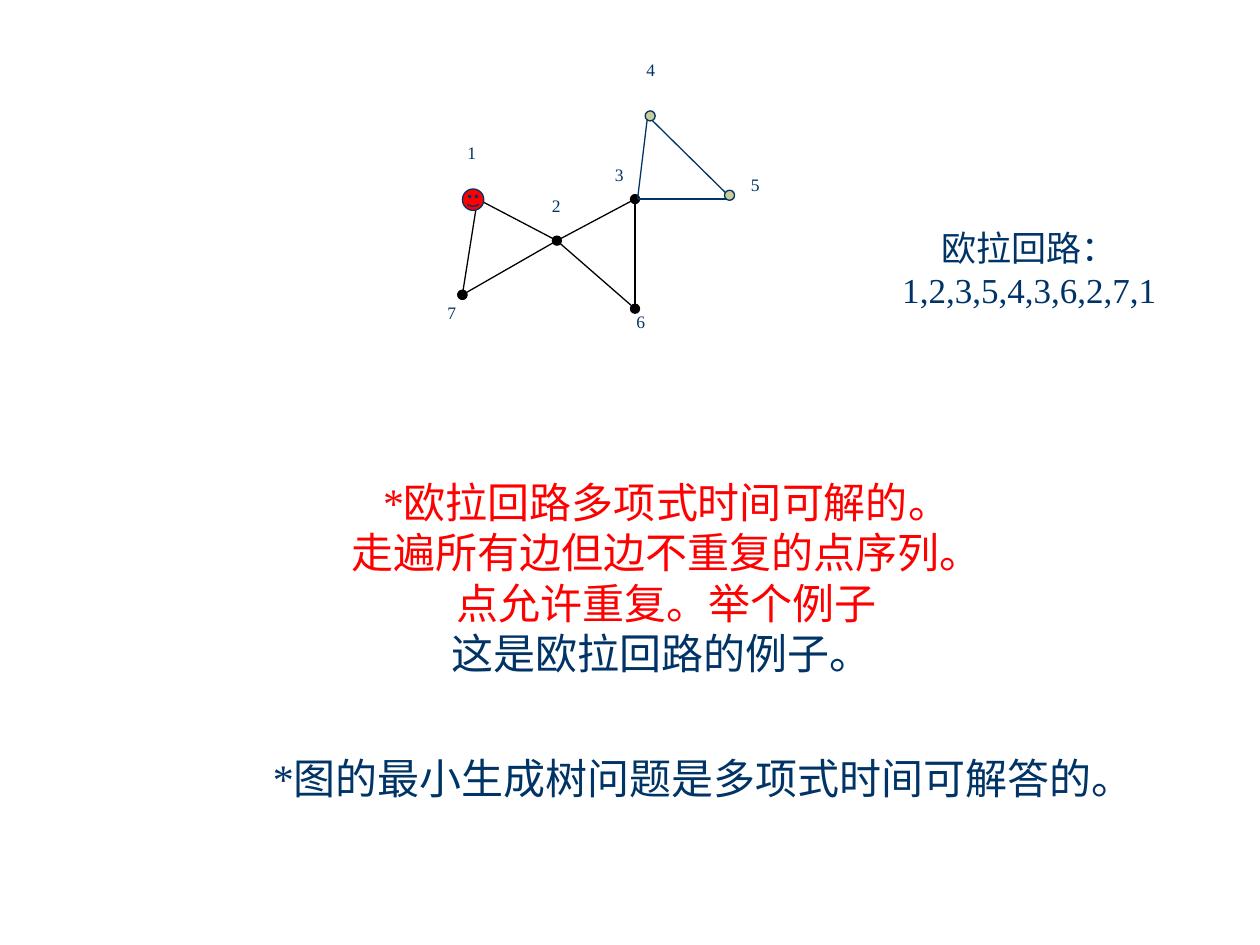
"""Builds a slide on Euler circuits with an example graph."""
import dataclasses

import lxml.etree
import pptx
import pptx.dml.color
import pptx.enum.shapes
import pptx.enum.text
import pptx.oxml.ns
import pptx.util

Inches = pptx.util.Inches
Pt = pptx.util.Pt
Shape = pptx.enum.shapes.MSO_SHAPE
qn = pptx.oxml.ns.qn


@dataclasses.dataclass(frozen=True)
class Theme:
    navy: str = "003366"
    red: str = "FF0000"
    black: str = "000000"
    sand: str = "CCCC99"
    latin: str = "Times New Roman"
    asian: str = "Noto Sans CJK SC"
    body: int = 24
    note: int = 20
    label: int = 10
    leading: float = 1.2
    line: float = 0.75


class GraphPage:
    def __init__(self, page, theme):
        self.page = page
        self.theme = theme

    def colour(self, value):
        return pptx.dml.color.RGBColor.from_string(value)

    def text(self, left, top, width, height, lines, size, wrap=True, middle=False):
        box = self.page.shapes.add_textbox(
            Inches(left), Inches(top), Inches(width), Inches(height))
        frame = box.text_frame
        frame.word_wrap = wrap
        frame.auto_size = pptx.enum.text.MSO_AUTO_SIZE.SHAPE_TO_FIT_TEXT
        if middle:
            frame.vertical_anchor = pptx.enum.text.MSO_ANCHOR.MIDDLE
        for index, (words, colour) in enumerate(lines):
            para = frame.add_paragraph() if index else frame.paragraphs[0]
            para.text = words
            para.alignment = pptx.enum.text.PP_ALIGN.CENTER
            para.line_spacing = Pt(size * self.theme.leading)
            para.font.size = Pt(size)
            para.font.name = self.theme.latin
            para.font.color.rgb = self.colour(colour)
            style = para._p.pPr.find(qn("a:defRPr"))
            lxml.etree.SubElement(style, qn("a:ea"), typeface=self.theme.asian)

    def edge(self, group, start, end, colour, dotted=False):
        line = group.shapes.add_connector(
            pptx.enum.shapes.MSO_CONNECTOR.STRAIGHT, *map(Inches, start + end))
        line.line.color.rgb = self.colour(colour)
        line.line.width = Pt(self.theme.line)
        if dotted:
            outline = line.line._get_or_add_ln()
            for tip in ("a:headEnd", "a:tailEnd"):
                lxml.etree.SubElement(outline, qn(tip), type="oval")
        lxml.etree.SubElement(line._element.spPr, qn("a:effectLst"))

    def node(self, parent, kind, left, top, size, fill):
        shape = parent.shapes.add_shape(
            kind, Inches(left), Inches(top), Inches(size), Inches(size))
        shape.shadow.inherit = False
        shape.fill.solid()
        shape.fill.fore_color.rgb = self.colour(fill)
        shape.line.color.rgb = self.colour(self.theme.navy)
        shape.line.width = Pt(self.theme.line)
        return shape


def main():
    theme = Theme()
    deck = pptx.Presentation()
    deck.slide_width, deck.slide_height = Inches(10), Inches(7.5)
    page = deck.slides.add_slide(deck.slide_layouts[6])
    graph = GraphPage(page, theme)

    graph.text(2.69, 3.73, 5.2, 1.7, [
        ("*欧拉回路多项式时间可解的。", theme.red),
        ("走遍所有边但边不重复的点序列。", theme.red),
        ("点允许重复。举个例子", theme.red),
        ("这是欧拉回路的例子。 ", theme.navy),
    ], theme.body, wrap=False, middle=True)

    points = {1: (3.79, 1.58), 2: (4.42, 1.91), 3: (5.04, 1.58),
              6: (5.04, 2.45), 7: (3.67, 2.34)}
    group = page.shapes.add_group_shape()
    for start, end, dotted in [(1, 2, False), (1, 7, True), (7, 2, True),
                               (2, 3, False), (2, 6, False), (3, 6, True)]:
        graph.edge(group, points[start], points[end], theme.black, dotted)

    corner, peak, right = (5.06, 1.58), (5.14, 0.92), (5.81, 1.58)
    for start, end in [(corner, peak), (peak, right), (corner, right)]:
        graph.edge(group, start, end, theme.navy)
    for left, top in [(5.12, 0.88), (5.75, 1.51)]:
        graph.node(group, Shape.OVAL, left, top, 0.08, theme.sand)

    face = graph.node(page, Shape.SMILEY_FACE, 3.67, 1.5, 0.17, theme.red)
    face.adjustments[0] = 0.09

    labels = {7: (3.42, 2.35), 6: (4.92, 2.42), 5: (5.83, 1.33), 4: (5, 0.42),
              3: (4.75, 1.25), 2: (4.25, 1.5), 1: (3.58, 1.08)}
    for number, (left, top) in labels.items():
        graph.text(left, top, 0.33, 0.27, [(str(number), theme.navy)], theme.label)

    graph.text(6.67, 1.75, 3, 0.77,
               [("欧拉回路：1,2,3,5,4,3,6,2,7,1", theme.navy)], theme.note)
    graph.text(2, 5.92, 6.83, 0.5,
               [("*图的最小生成树问题是多项式时间可解答的。", theme.navy)], theme.body)
    deck.save("out.pptx")


if __name__ == "__main__":
    main()
